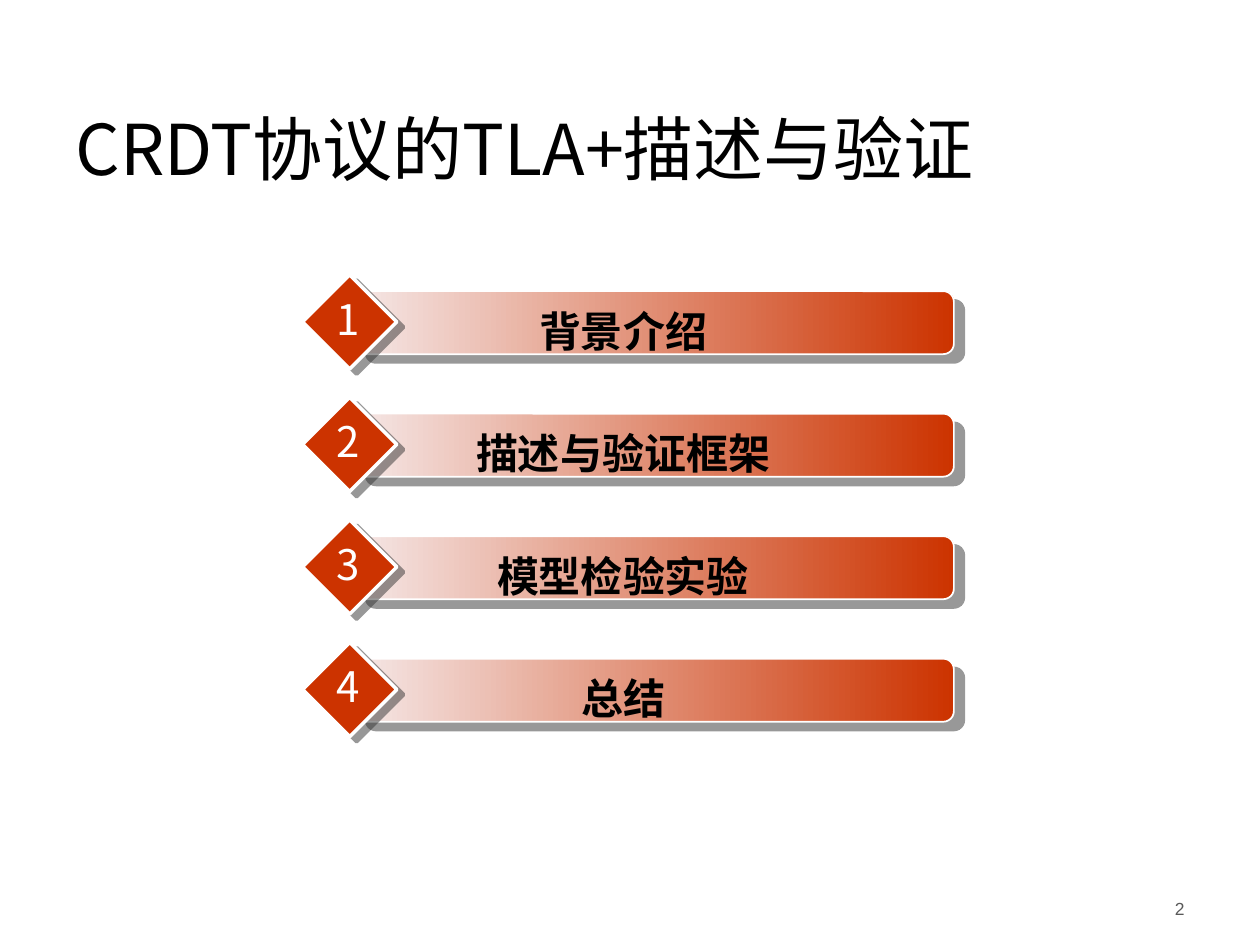
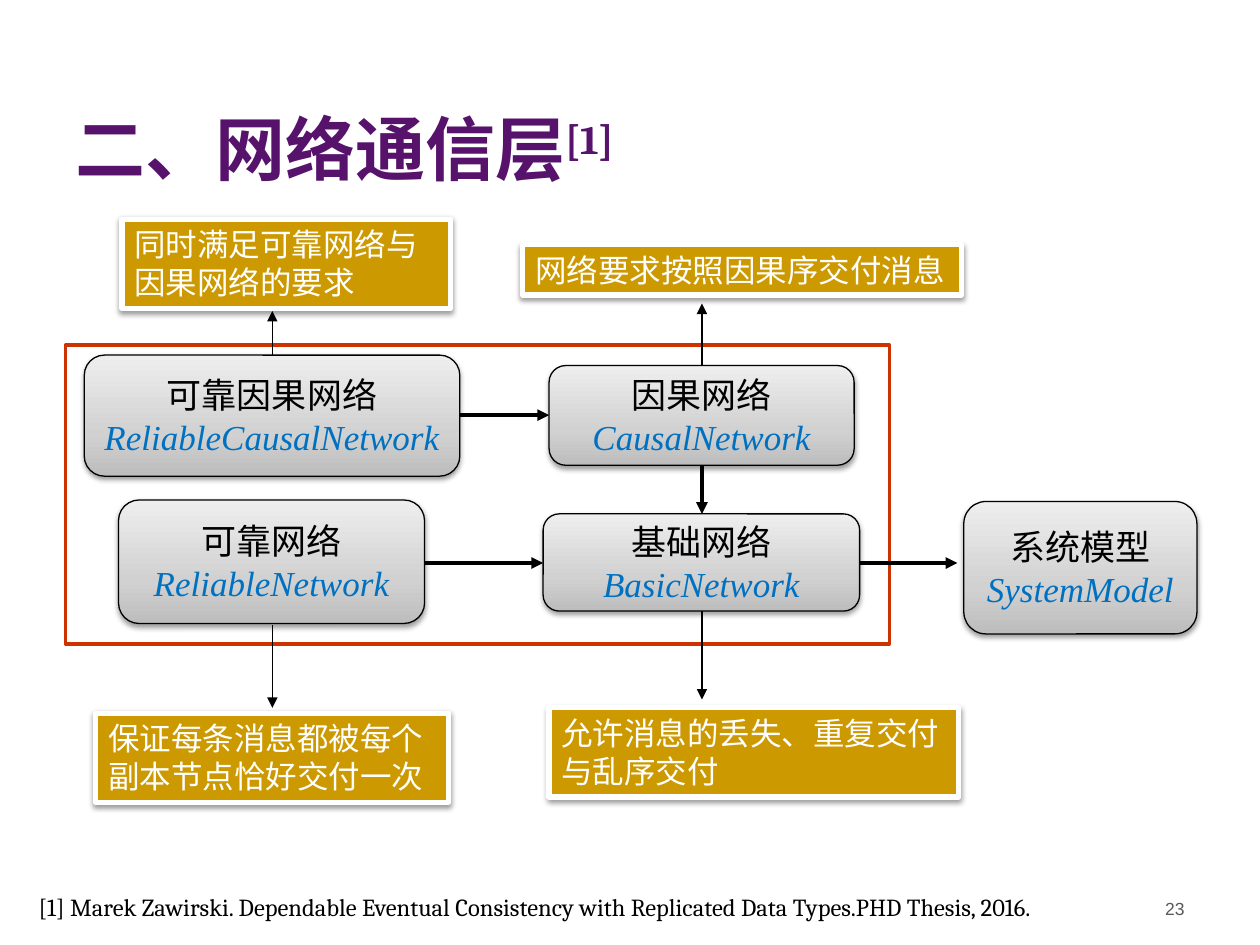
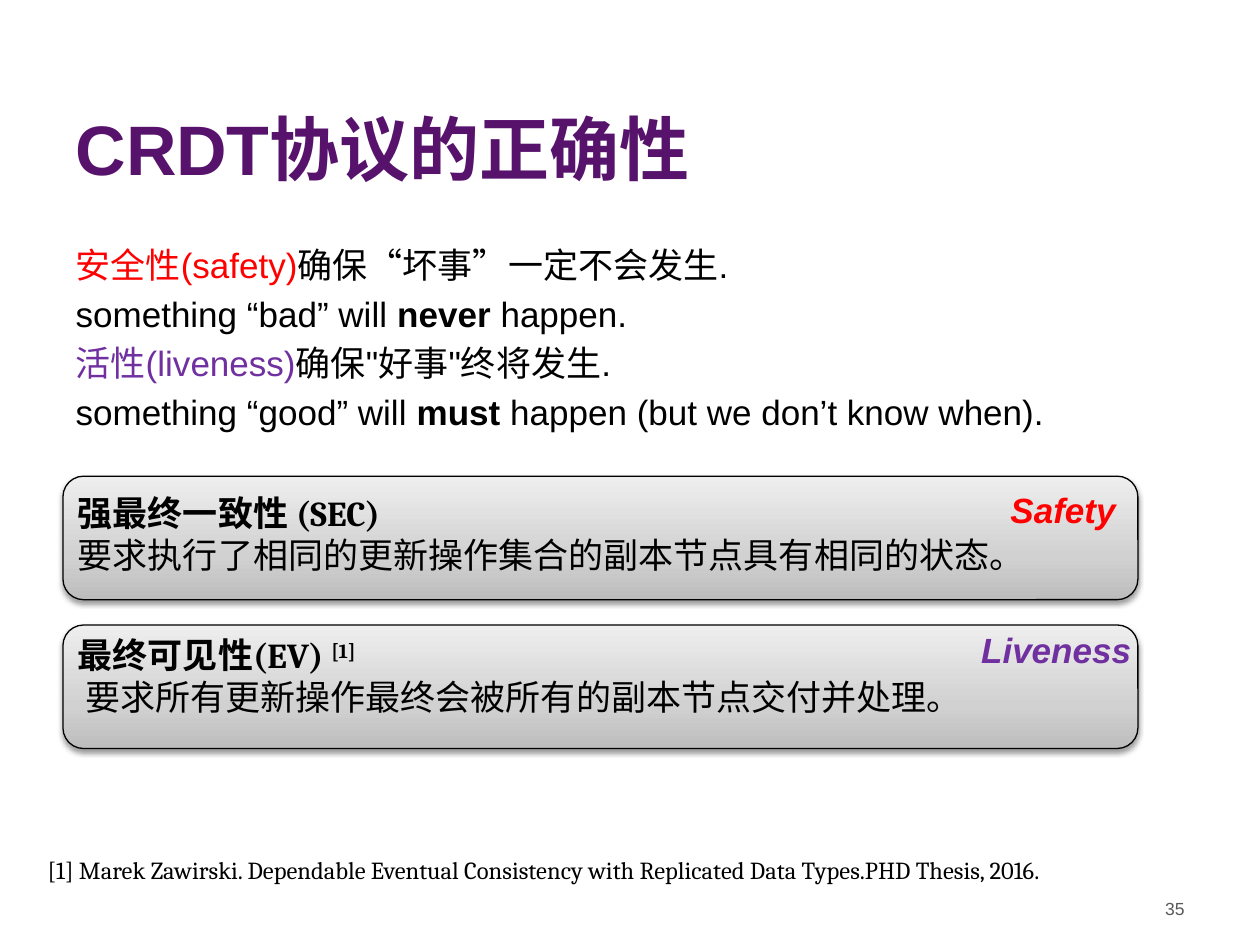
import pptx
import pptx.dml.color
import pptx.enum.shapes
import pptx.enum.text
import pptx.oxml.ns
import pptx.util
from lxml import etree

Cm = pptx.util.Cm
Pt = pptx.util.Pt
qn = pptx.oxml.ns.qn
Shapes = pptx.enum.shapes.MSO_SHAPE
Align = pptx.enum.text.PP_ALIGN
Anchor = pptx.enum.text.MSO_ANCHOR

# Shared look
SANS = "Noto Sans CJK SC"
ARIAL = "Arial"
CAMBRIA = "Cambria"
TIMES = "Times New Roman"
BLACK, WHITE, GREY = "000000", "FFFFFF", "595959"
ORANGE, GOLD, BLUE = "CC3300", "CC9900", "0070C0"
PLUM, RED, VIOLET = "57126C", "FF0000", "7030A0"
BAR_GRADIENT = ([(0, "F5E7E6"), (100, ORANGE)], 0)
CARD_GRADIENT = ([(0, "BDBDBD"), (35, "D1D1D1"), (100, "EEEEEE")], 90)
# Shadows: colour, opacity in percent, blur, distance, direction in degrees
BAR_SHADOW = ("333333", 50, 0, 7.8, 40)
DIAMOND_SHADOW = ("333333", 50, 0, 5, 37)
SOFT_SHADOW = (BLACK, 38, 3.1, 1.6, 90)
TITLE_BOX = (1.27, 0.33, 20.96, 3.61)
CITATION = ("[1] Marek Zawirski. Dependable Eventual Consistency with "
            "Replicated Data Types.PHD Thesis, 2016.")


def rgb(color):
    return pptx.dml.color.RGBColor.from_string(color)


def lengths(box):
    return [Cm(value) for value in box]


# Text
def format_font(font, name=None, size=None, color=None, bold=None,
                italic=None, superscript=False):
    if name:
        font.name = name
        etree.SubElement(font._rPr, qn("a:ea"), typeface=SANS)
    if size:
        font.size = Pt(size)
    if color:
        font.color.rgb = rgb(color)
    if bold is not None:
        font.bold = bold
    if italic is not None:
        font.italic = italic
    if superscript:
        font._rPr.set("baseline", "30000")


def write(frame, paragraphs, align=Align.LEFT, bullets=True, **style):
    """Each paragraph is a list of runs: a string, or (string, overrides)."""
    for index, runs in enumerate(paragraphs):
        paragraph = frame.paragraphs[0] if index == 0 else frame.add_paragraph()
        paragraph.alignment = align
        if index == 0:
            paragraph.space_before = Pt(0)
        if not bullets:
            properties = paragraph._p.get_or_add_pPr()
            properties.set("marL", "0")
            properties.set("indent", "0")
            etree.SubElement(properties, qn("a:buNone"))
        format_font(paragraph.font, **style)
        for item in runs:
            text, overrides = (item, {}) if isinstance(item, str) else item
            run = paragraph.add_run()
            run.text = text
            if overrides:
                format_font(run.font, **overrides)


def add_text(slide, box, paragraphs, wrap=True, **style):
    frame = slide.shapes.add_textbox(*lengths(box)).text_frame
    frame.word_wrap = wrap
    write(frame, paragraphs, **style)
    return frame


def place(placeholder, box):
    (placeholder.left, placeholder.top,
     placeholder.width, placeholder.height) = lengths(box)


def add_slide(presentation, layout, number, title, **style):
    slide = presentation.slides.add_slide(presentation.slide_layouts[layout])
    place(slide.shapes.title, TITLE_BOX)
    frame = slide.shapes.title.text_frame
    frame.vertical_anchor = Anchor.BOTTOM
    write(frame, [title], size=40, **style)
    add_text(slide, (18.21, 17.98, 5.92, 0.99), [[str(number)]],
             align=Align.RIGHT, name=ARIAL, size=10, color=GREY)
    return slide


def add_citation(slide, left, top):
    add_text(slide, (left, top, 22.43, 0.86), [[CITATION]],
             name=CAMBRIA, size=14, color=BLACK)


# Shapes and arrows
def set_gradient(shape, stops, angle):
    shape.fill.gradient()
    shape.fill.gradient_angle = angle
    stop_list = shape._element.spPr.find(".//" + qn("a:gsLst"))
    stop_list.clear()
    for position, color in stops:
        stop = etree.SubElement(stop_list, qn("a:gs"), pos=str(position * 1000))
        etree.SubElement(stop, qn("a:srgbClr"), val=color)


def set_shadow(shape, color, opacity, blur, distance, direction):
    effects = shape._element.spPr.find(qn("a:effectLst"))
    shadow = etree.SubElement(
        effects, qn("a:outerShdw"), blurRad=str(Pt(blur)), dist=str(Pt(distance)),
        dir=str(direction * 60000), algn="ctr", rotWithShape="0")
    shadow_color = etree.SubElement(shadow, qn("a:srgbClr"), val=color)
    etree.SubElement(shadow_color, qn("a:alpha"), val=str(opacity * 1000))


def add_shape(slide, kind, box, fill, line, line_width, shadow=None):
    shape = slide.shapes.add_shape(kind, *lengths(box))
    if isinstance(fill, str):
        shape.fill.solid()
        shape.fill.fore_color.rgb = rgb(fill)
    else:
        set_gradient(shape, *fill)
    shape.line.color.rgb = rgb(line)
    shape.line.width = Pt(line_width)
    shape.shadow.inherit = False
    if shadow:
        set_shadow(shape, *shadow)
    return shape


def add_card(slide, box):
    return add_shape(slide, Shapes.ROUNDED_RECTANGLE, box, CARD_GRADIENT,
                     BLACK, 0.75, SOFT_SHADOW)


def add_arrow(slide, ends, width):
    connector = slide.shapes.add_connector(
        pptx.enum.shapes.MSO_CONNECTOR.STRAIGHT, *lengths(ends))
    connector.line.color.rgb = rgb(BLACK)
    connector.line.width = Pt(width)
    properties = connector._element.spPr
    etree.SubElement(properties.find(qn("a:ln")), qn("a:tailEnd"), type="triangle")
    etree.SubElement(properties, qn("a:effectLst"))


# Elements of single slides
def add_agenda_item(slide, number, label, top):
    add_shape(slide, Shapes.ROUNDED_RECTANGLE, (7.16, top, 12.07, 1.27),
              BAR_GRADIENT, WHITE, 1, BAR_SHADOW)
    add_shape(slide, Shapes.DIAMOND, (6.1, top - 0.33, 1.9, 1.9),
              ORANGE, WHITE, 2, DIAMOND_SHADOW)
    add_text(slide, (7.8, top + 0.16, 9.52, 1.3), [[label]], align=Align.CENTER,
             name=SANS, size=24, color=BLACK, bold=True)
    add_text(slide, (6.5, top - 0.08, 1.02, 1.3), [[str(number)]], wrap=False,
             align=Align.CENTER, name=SANS, size=24, color=WHITE)


def add_module(slide, label, module, box):
    module_style = dict(name=TIMES, color=BLUE, italic=True)
    write(add_card(slide, box).text_frame, [[label], [(module, module_style)]],
          align=Align.CENTER, name=SANS, size=20, color=BLACK)


def add_caption(slide, text, box):
    caption = add_shape(slide, Shapes.RECTANGLE, box, GOLD, WHITE, 3, SOFT_SHADOW)
    caption.text_frame.vertical_anchor = Anchor.TOP
    write(caption.text_frame, [[text]], name=TIMES, size=18, color=WHITE)


def add_property(slide, top, text_top, heading, statement):
    add_card(slide, (1.27, top, 21.67, 2.49))
    return add_text(slide, (1.32, text_top, 20.96, 1.96),
                    [heading, [(statement, dict(bold=False))]],
                    name=CAMBRIA, size=20, color=BLACK, bold=True)


def add_tag(slide, text, left, top, color):
    add_text(slide, (left, top, 4.06, 1.12), [[text]],
             name=ARIAL, size=20, color=color, bold=True, italic=True)


# Slides
def build_agenda(presentation):
    slide = add_slide(presentation, 5, 2, ["CRDT协议的TLA+描述与验证"],
                      name=SANS, color=BLACK)
    labels = ["背景介绍", "描述与验证框架", "模型检验实验", "总结"]
    for index, label in enumerate(labels):
        add_agenda_item(slide, index + 1, label, 5.87 + 2.47 * index)


def build_network_layer(presentation):
    slide = add_slide(presentation, 5, 23,
                      ["二、网络通信层", ("[1]", dict(superscript=True))],
                      name=CAMBRIA, color=PLUM, bold=True)
    add_citation(slide, 0.53, 17.86)
    add_shape(slide, Shapes.RECTANGLE, (1.32, 6.96, 16.61, 6.02), WHITE, ORANGE, 2)

    modules = [
        ("可靠因果网络", "ReliableCausalNetwork", (1.7, 7.16, 7.57, 2.44)),
        ("可靠网络", "ReliableNetwork", (2.39, 10.08, 6.17, 2.49)),
        ("基础网络", "BasicNetwork", (10.95, 10.36, 6.38, 1.96)),
        ("因果网络", "CausalNetwork", (11.07, 7.37, 6.15, 2.01)),
        ("系统模型", "SystemModel", (19.43, 10.11, 4.7, 2.67)),
    ]
    for label, module, box in modules:
        add_module(slide, label, module, box)

    # Dependencies between modules, then pointers to the captions
    left_axis, right_axis, lower_row = 5.49, 14.15, 11.35
    for ends in [(9.27, 8.37, 11.07, 8.37),
                 (right_axis, 9.37, right_axis, 10.36),
                 (8.56, lower_row, 10.95, lower_row),
                 (17.32, lower_row, 19.3, lower_row)]:
        add_arrow(slide, ends, 2.25)
    for axis, start, end in [(left_axis, 7.16, 6.27), (right_axis, 7.37, 6.12),
                             (left_axis, 12.6, 14.27), (right_axis, 12.32, 14.1)]:
        add_arrow(slide, (axis, start, axis, end), 0.75)

    captions = [
        ("允许消息的丢失、重复交付与乱序交付", (11.07, 14.27, 8.26, 1.8)),
        ("保证每条消息都被每个副本节点恰好交付一次", (1.93, 14.38, 7.11, 1.8)),
        ("网络要求按照因果序交付消息", (10.54, 4.93, 8.84, 1.02)),
        ("同时满足可靠网络与因果网络的要求", (2.46, 4.42, 6.63, 1.8)),
    ]
    for text, box in captions:
        add_caption(slide, text, box)


def build_correctness(presentation):
    slide = add_slide(presentation, 1, 35, ["CRDT协议的正确性"],
                      name=ARIAL, color=PLUM, bold=True)
    body = slide.placeholders[1]
    place(body, (1.27, 4.78, 22.86, 13.1))
    strong = dict(bold=True)
    write(body.text_frame, [
        [("安全性(safety)", dict(color=RED)), "确保“坏事”一定不会发生."],
        ["something “bad” will ", ("never ", strong), "happen."],
        [("活性(liveness)", dict(color=VIOLET)), "确保\"好事\"终将发生."],
        ["something “good” will ", ("must", strong),
         " happen (but we don’t know when)."],
    ], bullets=False, name=ARIAL, size=20, color=BLACK)
    add_citation(slide, 0.71, 17.12)

    add_property(slide, 9.6, 9.78, ["强最终一致性 (SEC)"],
                 "要求执行了相同的更新操作集合的副本节点具有相同的状态。")
    add_tag(slide, "Safety", 20.12, 9.73, RED)
    visibility = add_property(
        slide, 12.6, 12.65, ["最终可见性(EV) ", ("[1]", dict(superscript=True))],
        "要求所有更新操作最终会被所有的副本节点交付并处理。")
    visibility.paragraphs[1]._p.get_or_add_pPr().set("marL", str(Cm(0.15)))
    add_tag(slide, "Liveness", 19.53, 12.55, VIOLET)


def main():
    presentation = pptx.Presentation()
    presentation.slide_width = Cm(25.4)
    presentation.slide_height = Cm(19.05)
    build_agenda(presentation)
    build_network_layer(presentation)
    build_correctness(presentation)
    presentation.save("out.pptx")


if __name__ == "__main__":
    main()
